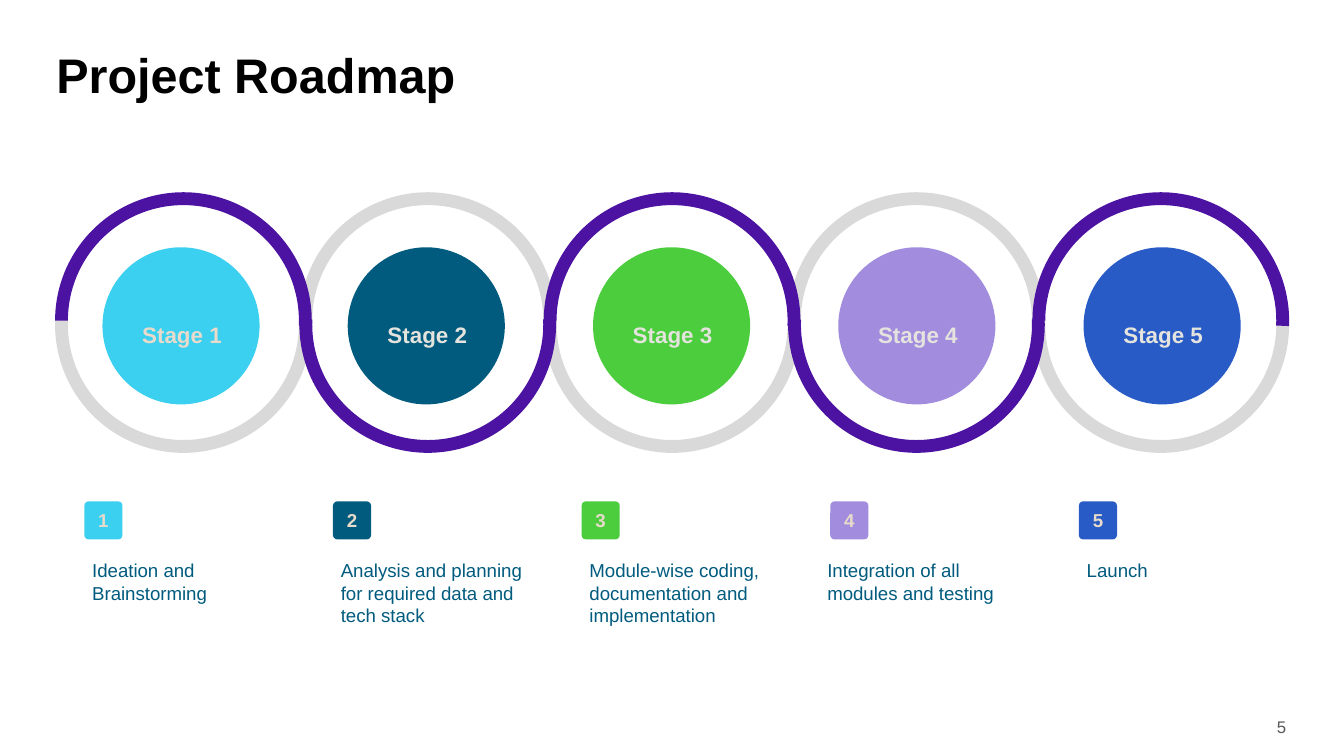
from pptx import Presentation
from pptx.dml.color import RGBColor
from pptx.enum.shapes import MSO_SHAPE as Shape
from pptx.enum.text import MSO_ANCHOR as Anchor, PP_ALIGN as Align
from pptx.util import Pt

COLOURS = {
    "title": "000000", "number": "595959", "caption": "015B7E",
    "sand": "E8DBCB", "stone": "E4E3DE",
    "track": "D9D9D9", "route": "4C12A1",
}
# Fill, stage label colour, caption, caption shift
STAGES = [
    ("3BCFF0", "sand", "Ideation and Brainstorming", 0),
    ("015B7E", "stone", "Analysis and planning for required data and tech stack", 0),
    ("4BCD3E", "stone", "Module-wise coding, documentation and implementation", 0),
    ("A18CDE", "stone", "Integration of all modules and testing", -5.8),
    ("285BC5", "stone", "Launch", 0),
]
ARC_STEP, DISC_STEP, CAPTION_STEP = 130.9, 131.4, 133.2


class RoadmapSlide:
    font = "Arial"

    def __init__(self, deck):
        self.slide = deck.slides.add_slide(deck.slide_layouts[6])

    def set_text(self, shape, text, size, colour, bold=False, align=Align.LEFT,
                 anchor=Anchor.TOP, insets=(0, 0), spacing=1.0):
        """Fill a shape's text frame; insets are (horizontal, vertical)."""
        frame = shape.text_frame
        frame.word_wrap = True
        frame.vertical_anchor = anchor
        frame.margin_left = frame.margin_right = Pt(insets[0])
        frame.margin_top = frame.margin_bottom = Pt(insets[1])
        para = frame.paragraphs[0]
        para.text = text
        para.alignment = align
        para.line_spacing = spacing
        para.font.name = self.font
        para.font.size = Pt(size)
        para.font.bold = bold
        para.font.color.rgb = RGBColor.from_string(COLOURS[colour])

    def text(self, left, top, width, height, *content, **style):
        box = self.slide.shapes.add_textbox(Pt(left), Pt(top), Pt(width), Pt(height))
        self.set_text(box, *content, **style)

    def shape(self, kind, left, top, size, fill):
        shape = self.slide.shapes.add_shape(kind, Pt(left), Pt(top), Pt(size), Pt(size))
        shape.shadow.inherit = False
        shape.fill.solid()
        shape.fill.fore_color.rgb = RGBColor.from_string(fill)
        shape.line.fill.background()
        return shape

    def arc(self, index, upper, colour):
        """Draw the upper or lower half of one ring."""
        left, top = 29.5 + index * ARC_STEP, 103 if upper else 105.1
        arc = self.shape(Shape.BLOCK_ARC, left, top, 137.5, COLOURS[colour])
        arc.rotation = 0 if upper else 180
        start = 108 if upper or colour == "track" else 106.5
        for position, value in enumerate((start, 1.47, 0.05)):
            arc.adjustments[position] = value

    def stage(self, index, fill, label_colour):
        offset = index * DISC_STEP
        self.shape(Shape.OVAL, 54.9 + offset, 132.5, 84.2, fill)
        self.text(66.6 + offset, 161.3, 61.9, 25.2, f"Stage {index + 1}", 12, label_colour,
                  bold=True, align=Align.CENTER, insets=(7.2, 3.6), spacing=1.5)

    def legend(self, index, fill, caption, shift):
        offset = index * CAPTION_STEP
        badge = self.shape(Shape.ROUNDED_RECTANGLE, 45.2 + offset, 268.6, 20.4, fill)
        badge.adjustments[0] = 0.115
        self.set_text(badge, str(index + 1), 10, "sand", bold=True,
                      align=Align.CENTER, anchor=Anchor.MIDDLE)
        self.text(42.3 + offset + shift, 295.9, 113.8, 37.4, caption, 10, "caption",
                  insets=(7.2, 3.6))


def main():
    deck = Presentation()
    deck.slide_width, deck.slide_height = Pt(720), Pt(405)
    page = RoadmapSlide(deck)
    page.text(30.2, 30.2, 634.3, 47.5, "Project Roadmap", 26, "title", bold=True, spacing=0.8)
    page.text(652.3, 383.8, 36.7, 10.8, "5", 9, "number",
              align=Align.RIGHT, anchor=Anchor.MIDDLE)

    for colour in ("track", "route"):
        for index in range(len(STAGES)):
            # The route runs over odd stages and under even ones
            upper = (index % 2 == 0) == (colour == "route")
            page.arc(index, upper, colour)
    for index, (fill, label_colour, caption, shift) in enumerate(STAGES):
        page.stage(index, fill, label_colour)
        page.legend(index, fill, caption, shift)
    deck.save("out.pptx")


if __name__ == "__main__":
    main()
